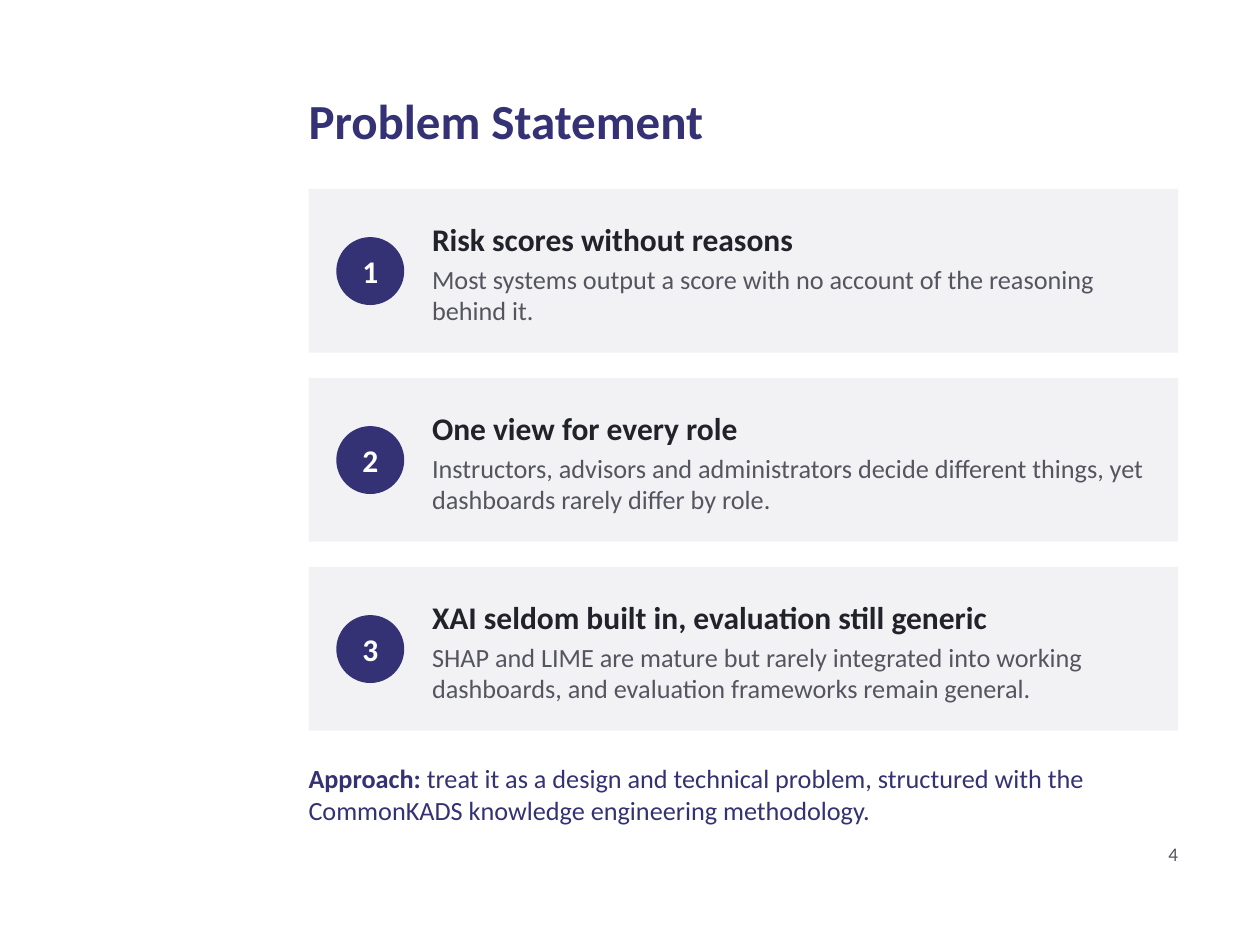
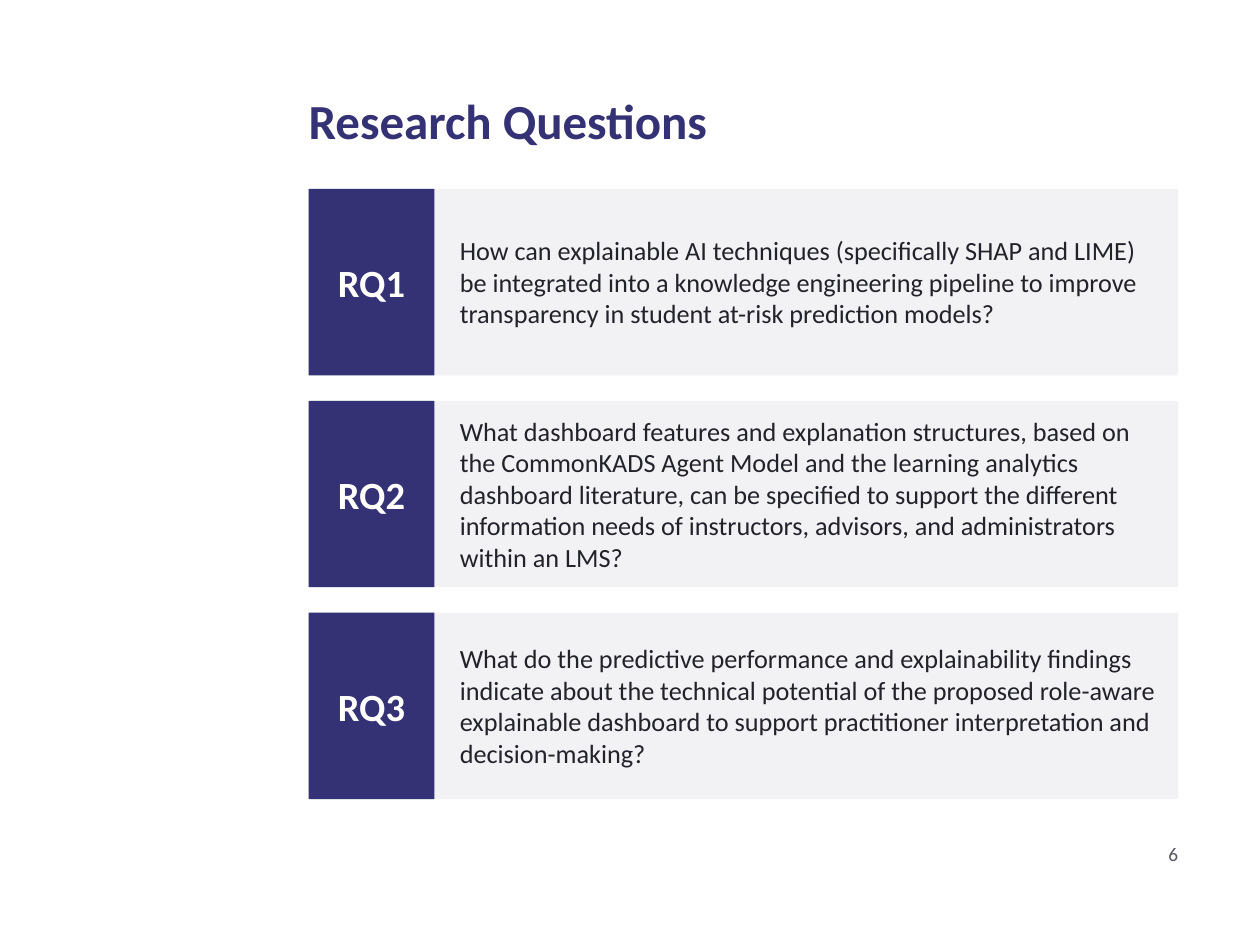
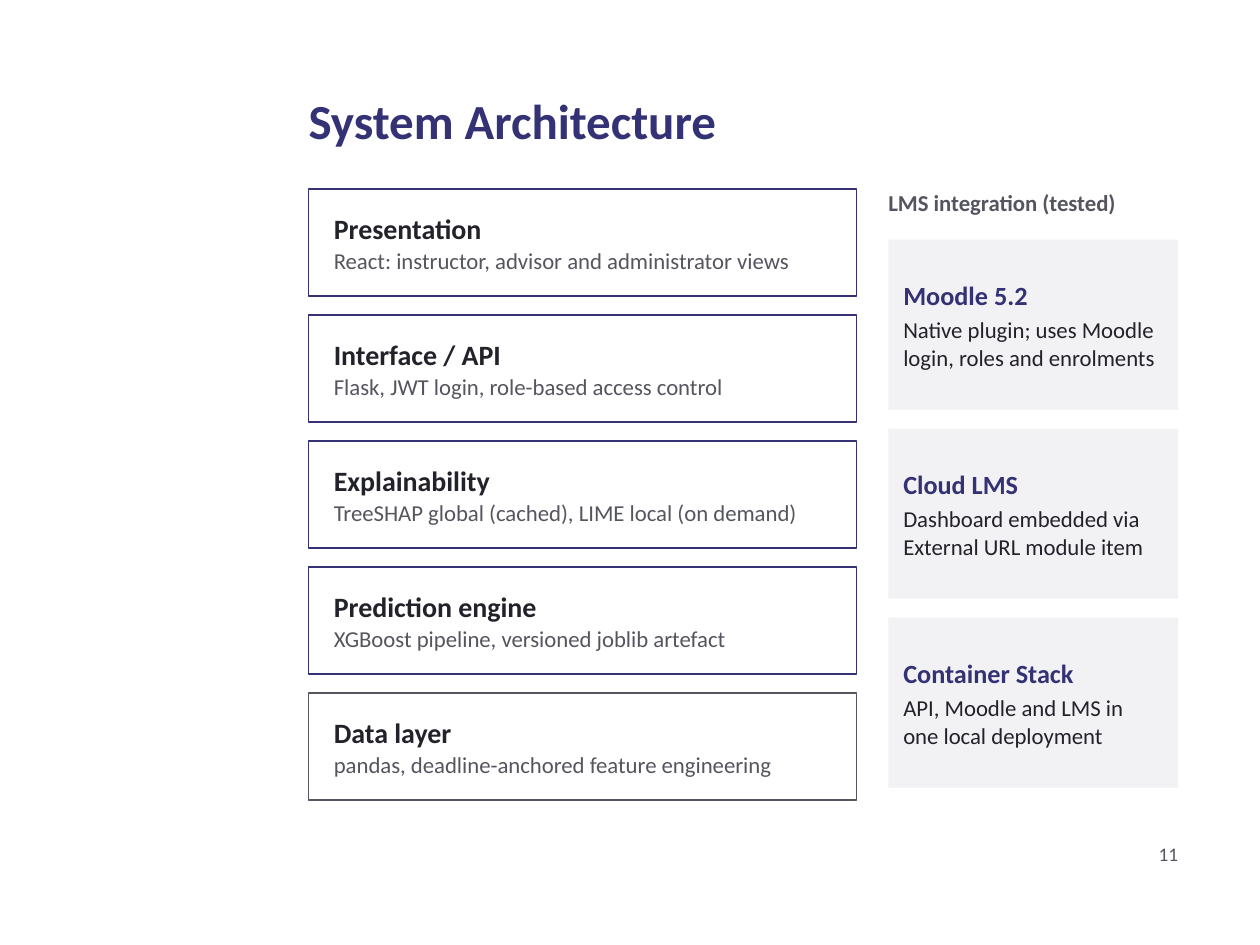
from dataclasses import dataclass
from typing import NamedTuple

from pptx import Presentation
from pptx.dml.color import RGBColor
from pptx.enum.shapes import MSO_SHAPE as Shape
from pptx.enum.text import MSO_ANCHOR as Anchor, MSO_AUTO_SIZE as AutoSize, PP_ALIGN as Align
from pptx.util import Cm, Pt


@dataclass(frozen=True)
class Theme:
    """Colours, font and type sizes shared by all slides."""

    font: str = "Calibri"
    indigo: str = "343174"
    ink: str = "22222A"
    grey: str = "555560"
    panel: str = "F2F2F5"
    white: str = "FFFFFF"
    title_size: int = 28
    label_size: int = 22
    heading_size: int = 18
    layer_size: int = 16
    body_size: int = 15
    detail_size: int = 13
    footer_size: int = 11


class Style(NamedTuple):
    """Look of one paragraph."""

    size: int
    color: str
    bold: bool = False
    after: int = 0
    align: Align = Align.LEFT


class Box(NamedTuple):
    """Rectangle in centimetres."""

    left: float
    top: float
    width: float
    height: float

    def inner(self, right, down, width, height):
        """Return a box placed relative to this one's corner."""
        return Box(self.left + right, self.top + down, width, height)

    def lengths(self):
        """Return the four values as slide lengths."""
        return [Cm(value) for value in self]


THEME = Theme()
LEFT, TOP, WIDTH = 6.22, 3.81, 17.53

TITLE = Style(THEME.title_size, THEME.indigo, True)
PAGE_NUMBER = Style(THEME.footer_size, THEME.grey, after=6, align=Align.RIGHT)
BADGE = Style(THEME.heading_size, THEME.white, True, align=Align.CENTER)
QUESTION_LABEL = Style(THEME.label_size, THEME.white, True, align=Align.CENTER)
QUESTION = Style(THEME.body_size, THEME.ink, after=6)
APPROACH = Style(THEME.body_size, THEME.indigo, True, after=6)
COLUMN_HEADING = Style(THEME.detail_size, THEME.grey, True, after=6)
PROBLEM_STYLES = (
    Style(THEME.heading_size, THEME.ink, True, 3),
    Style(THEME.body_size, THEME.grey, after=3),
)
LAYER_STYLES = (
    Style(THEME.layer_size, THEME.ink, True, 1),
    Style(THEME.detail_size, THEME.grey, after=1),
)
INTEGRATION_STYLES = (
    Style(THEME.body_size, THEME.indigo, True, 3),
    Style(THEME.detail_size, THEME.ink, after=3),
)

PROBLEMS = (
    ("Risk scores without reasons",
     "Most systems output a score with no account of the reasoning behind it."),
    ("One view for every role",
     "Instructors, advisors and administrators decide different things, yet "
     "dashboards rarely differ by role."),
    ("XAI seldom built in, evaluation still generic",
     "SHAP and LIME are mature but rarely integrated into working dashboards, "
     "and evaluation frameworks remain general."),
)
QUESTIONS = (
    "How can explainable AI techniques (specifically SHAP and LIME) be integrated into a "
    "knowledge engineering pipeline to improve transparency in student at-risk prediction models?",
    "What dashboard features and explanation structures, based on the CommonKADS Agent Model "
    "and the learning analytics dashboard literature, can be specified to support the different "
    "information needs of instructors, advisors, and administrators within an LMS?",
    "What do the predictive performance and explainability findings indicate about the technical "
    "potential of the proposed role-aware explainable dashboard to support practitioner "
    "interpretation and decision-making?",
)
LAYERS = (
    ("Presentation", "React: instructor, advisor and administrator views", THEME.indigo),
    ("Interface / API", "Flask, JWT login, role-based access control", THEME.indigo),
    ("Explainability", "TreeSHAP global (cached), LIME local (on demand)", THEME.indigo),
    ("Prediction engine", "XGBoost pipeline, versioned joblib artefact", THEME.indigo),
    ("Data layer", "pandas, deadline-anchored feature engineering", THEME.grey),
)
INTEGRATIONS = (
    ("Moodle 5.2", "Native plugin; uses Moodle login, roles and enrolments"),
    ("Cloud LMS", "Dashboard embedded via External URL module item"),
    ("Container Stack", "API, Moodle and LMS in one local deployment"),
)


def stack(first, gap, items):
    """Yield each item with its box, going down at equal gaps."""
    for index, item in enumerate(items):
        yield first.inner(0, index * (first.height + gap), first.width, first.height), item


def format_run(run, style):
    """Apply the font, size, weight and colour of a style."""
    run.font.name = THEME.font
    run.font.size = Pt(style.size)
    run.font.bold = style.bold
    run.font.color.rgb = RGBColor.from_string(style.color)


def write(text_frame, lines, styles, anchor=Anchor.MIDDLE, margin=0):
    """Fill a text frame with one styled paragraph per line."""
    text_frame.word_wrap = True
    text_frame.vertical_anchor = anchor
    text_frame.margin_left = text_frame.margin_right = 0
    text_frame.margin_top = text_frame.margin_bottom = Cm(margin)
    text_frame.text = "\n".join(lines)
    for paragraph, style in zip(text_frame.paragraphs, styles):
        paragraph.alignment = style.align
        paragraph.space_after = Pt(style.after)
        for run in paragraph.runs:
            format_run(run, style)


def add_text(slide, box, lines, styles, anchor=Anchor.MIDDLE):
    """Add a text box and return its text frame."""
    text_frame = slide.shapes.add_textbox(*box.lengths()).text_frame
    write(text_frame, lines, styles, anchor)
    text_frame.auto_size = AutoSize.SHAPE_TO_FIT_TEXT
    return text_frame


def add_block(slide, box, fill, line=None, kind=Shape.RECTANGLE):
    """Add a flat filled shape, outlined if a line colour is given."""
    shape = slide.shapes.add_shape(kind, *box.lengths())
    shape.shadow.inherit = False
    shape.fill.solid()
    shape.fill.fore_color.rgb = RGBColor.from_string(fill)
    if line:
        shape.line.color.rgb = RGBColor.from_string(line)
        shape.line.width = Pt(1)
    else:
        shape.line.fill.background()
    return shape


def add_slide(presentation, title, number):
    """Add a slide with its title and page number."""
    slide = presentation.slides.add_slide(presentation.slide_layouts[5])
    heading = slide.shapes.title
    heading.left, heading.top, heading.width, heading.height = Box(LEFT, 1.4, WIDTH, 2.03).lengths()
    write(heading.text_frame, [title], [TITLE], margin=0.13)
    heading.text_frame.auto_size = AutoSize.NONE
    add_text(slide, Box(22.23, 16.97, 1.52, 0.71), [str(number)], [PAGE_NUMBER], Anchor.TOP)
    return slide


def add_problems(slide):
    """Add the numbered problem cards and the approach below them."""
    cards = stack(Box(LEFT, TOP, WIDTH, 3.3), 0.51, PROBLEMS)
    for number, (card, lines) in enumerate(cards, start=1):
        add_block(slide, card, THEME.panel)
        badge = add_block(slide, card.inner(0.56, 0.97, 1.37, 1.37), THEME.indigo, kind=Shape.OVAL)
        write(badge.text_frame, [str(number)], [BADGE])
        add_text(slide, card.inner(2.49, 0.3, 14.61, 2.79), lines, PROBLEM_STYLES)
    approach = add_text(slide, Box(LEFT, 15.37, WIDTH, 1.52), ["Approach: "], [APPROACH], Anchor.TOP)
    run = approach.paragraphs[0].add_run()
    run.text = ("treat it as a design and technical problem, structured with the "
                "CommonKADS knowledge engineering methodology.")
    format_run(run, APPROACH._replace(bold=False))


def add_questions(slide):
    """Add one labelled band for each research question."""
    bands = stack(Box(LEFT, TOP, WIDTH, 3.76), 0.51, QUESTIONS)
    for number, (band, question) in enumerate(bands, start=1):
        add_block(slide, band, THEME.panel)
        label = add_block(slide, band.inner(0, 0, 2.54, band.height), THEME.indigo)
        write(label.text_frame, [f"RQ{number}"], [QUESTION_LABEL])
        add_text(slide, band.inner(3.05, 0.15, 14.1, 3.45), [question], [QUESTION])


def add_layers(slide):
    """Add the outlined boxes of the architecture layers."""
    for layer, (*lines, outline) in stack(Box(LEFT, TOP, 11.05, 2.16), 0.38, LAYERS):
        add_block(slide, layer, THEME.white, outline)
        add_text(slide, layer.inner(0.51, 0.1, 10.16, 1.98), lines, LAYER_STYLES)


def add_integrations(slide):
    """Add the column of integration cards under its heading."""
    column = Box(17.91, TOP, 5.84, 0.89)
    add_text(slide, column, ["LMS integration (tested)"], [COLUMN_HEADING], Anchor.TOP)
    for card, lines in stack(column.inner(0, 1.02, column.width, 3.43), 0.38, INTEGRATIONS):
        add_block(slide, card, THEME.panel)
        add_text(slide, card.inner(0.3, 0.2, 5.23, 3.05), lines, INTEGRATION_STYLES)


def main():
    """Build and save the presentation."""
    presentation = Presentation()
    presentation.slide_width, presentation.slide_height = Cm(25.4), Cm(19.05)
    add_problems(add_slide(presentation, "Problem Statement", 4))
    add_questions(add_slide(presentation, "Research Questions", 6))
    architecture = add_slide(presentation, "System Architecture", 11)
    add_layers(architecture)
    add_integrations(architecture)
    presentation.save("out.pptx")


if __name__ == "__main__":
    main()
